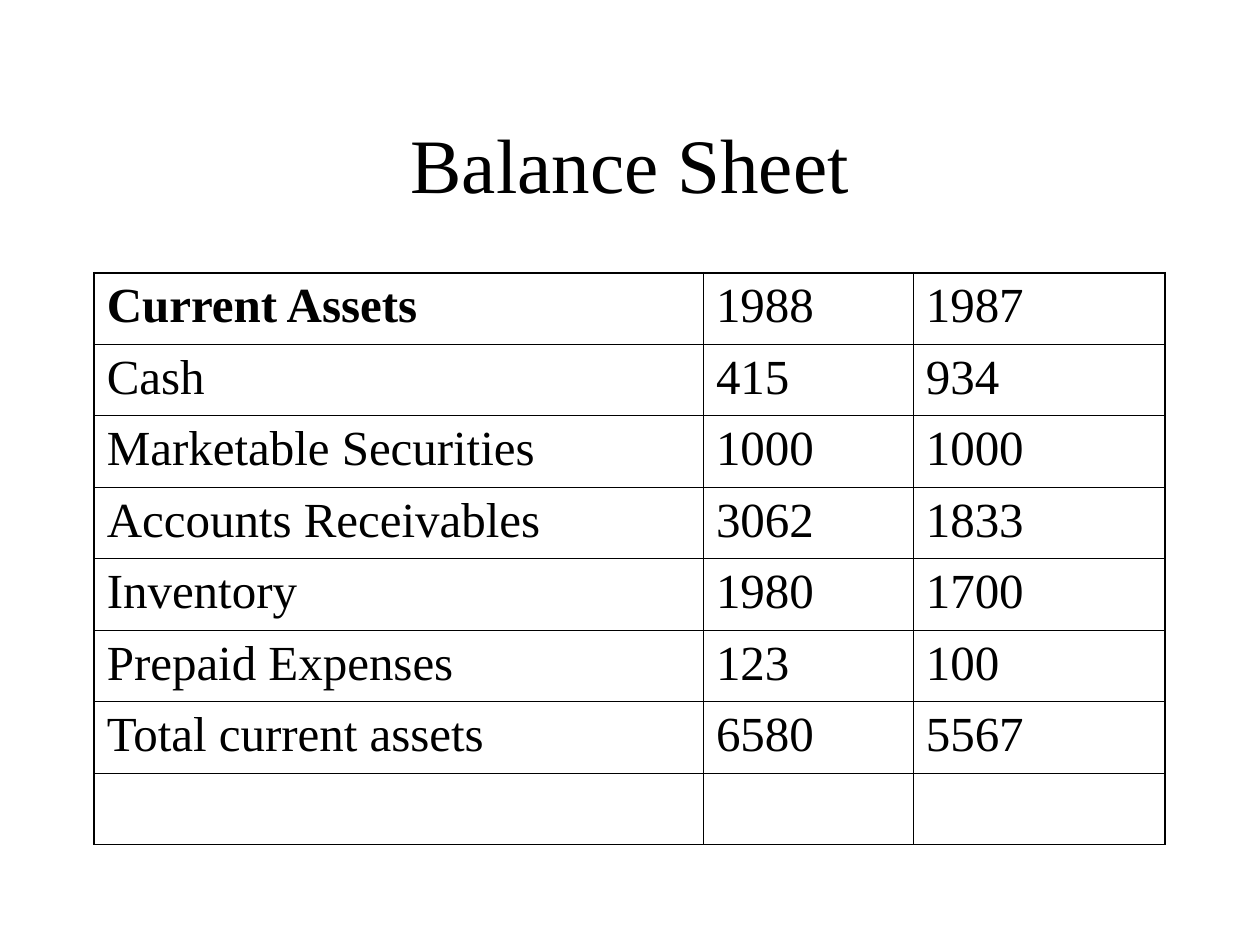
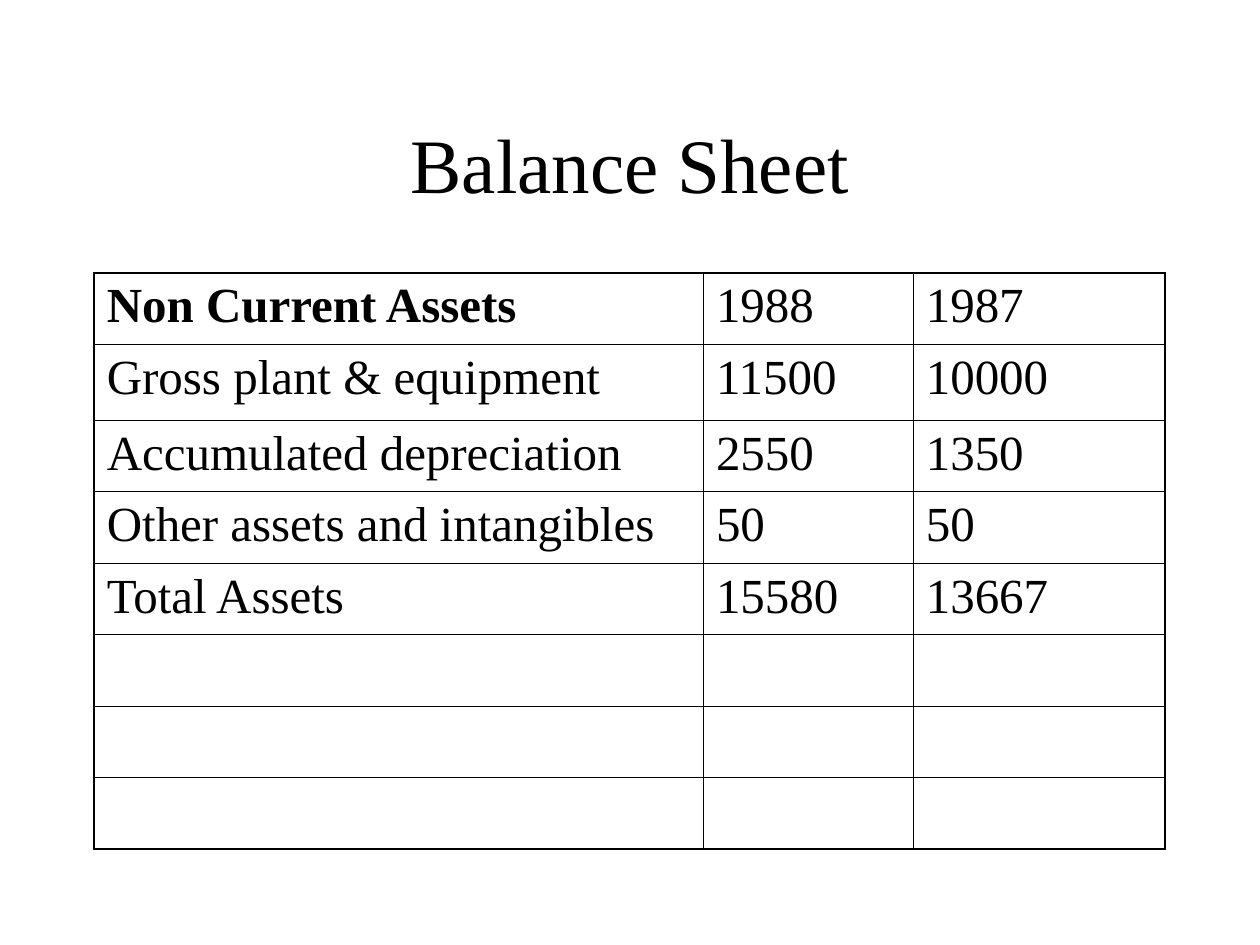
from dataclasses import dataclass
from typing import Any

import lxml.etree
import pptx
import pptx.dml.color
import pptx.enum.text
import pptx.oxml.ns
import pptx.presentation
import pptx.slide
import pptx.table
import pptx.util

Cm = pptx.util.Cm
Pt = pptx.util.Pt
qn = pptx.oxml.ns.qn


@dataclass(frozen=True)
class Theme:
    font: str = "Times New Roman"
    ink: str = "000000"
    paper: str = "FFFFFF"
    title_size: float = 44
    cell_size: float = 28
    cell_space: float = 7
    outer_line: float = 1.08
    inner_line: float = 0.45


@dataclass(frozen=True)
class Box:
    left: float
    top: float
    width: float
    height: float


@dataclass(frozen=True)
class BalanceTable:
    entries: list[tuple[str, str, str]]
    tall_rows: tuple[int, ...] = ()


THEME = Theme()
TITLE = "Balance Sheet"
TITLE_BOX = Box(1.9, 1.69, 21.6, 3.18)
TABLE_LEFT, TABLE_TOP = 1.9, 5.5
COLUMN_WIDTHS = (12.28, 4.23, 5.08)
ROW_COUNT, ROW_HEIGHT, TALL_HEIGHT = 8, 1.44, 1.53

TABLES = [
    BalanceTable([
        ("Current Assets", "1988", "1987"),
        ("Cash", "415", "934"),
        ("Marketable Securities", "1000", "1000"),
        ("Accounts Receivables", "3062", "1833"),
        ("Inventory", "1980", "1700"),
        ("Prepaid Expenses", "123", "100"),
        ("Total current assets", "6580", "5567"),
    ]),
    BalanceTable([
        ("Non Current Assets", "1988", "1987"),
        ("Gross plant & equipment", "11500", "10000"),
        ("Accumulated depreciation", "2550", "1350"),
        ("Other assets and intangibles", "50", "50"),
        ("Total Assets", "15580", "13667"),
    ], tall_rows=(1,)),
]


def apply_format(target: Any, values: dict[str, Any]) -> None:
    for name, value in values.items():
        setattr(target, name, value)


def write(p: Any, text: str, size: float, bold: bool = False) -> None:
    r = p.add_run()
    r.text = text
    apply_format(r.font, {"name": THEME.font, "size": Pt(size), "bold": bold})
    r.font.color.rgb = pptx.dml.color.RGBColor.from_string(THEME.ink)


def add_title(s: pptx.slide.Slide, text: str, box: Box) -> None:
    sp = s.shapes.add_textbox(Cm(box.left), Cm(box.top), Cm(box.width), Cm(box.height))
    tf = sp.text_frame
    apply_format(tf, {
        "word_wrap": True,
        "vertical_anchor": pptx.enum.text.MSO_ANCHOR.MIDDLE,
    })
    p = tf.paragraphs[0]
    p.alignment = pptx.enum.text.PP_ALIGN.CENTER
    write(p, text, THEME.title_size)


def set_borders(cell: Any, row: int, col: int) -> None:
    on_edge = {
        "a:lnL": col == 0,
        "a:lnR": col == len(COLUMN_WIDTHS) - 1,
        "a:lnT": row == 0,
        "a:lnB": row == ROW_COUNT - 1,
    }
    props = cell._tc.get_or_add_tcPr()
    for tag, outer in on_edge.items():
        width = Pt(THEME.outer_line if outer else THEME.inner_line)
        line = lxml.etree.SubElement(props, qn(tag), w=str(int(width)))
        fill = lxml.etree.SubElement(line, qn("a:solidFill"))
        lxml.etree.SubElement(fill, qn("a:srgbClr"), val=THEME.ink)


def add_balance_table(s: pptx.slide.Slide, data: BalanceTable) -> None:
    heights = [TALL_HEIGHT if i in data.tall_rows else ROW_HEIGHT for i in range(ROW_COUNT)]
    sp = s.shapes.add_table(
        ROW_COUNT, len(COLUMN_WIDTHS), Cm(TABLE_LEFT), Cm(TABLE_TOP),
        Cm(sum(COLUMN_WIDTHS)), Cm(sum(heights)),
    )
    table = sp.table
    apply_format(table, {"first_row": False, "horz_banding": False})
    for column, width in zip(table.columns, COLUMN_WIDTHS):
        column.width = Cm(width)
    for row, height in enumerate(heights):
        table.rows[row].height = Cm(height)
        for col in range(len(COLUMN_WIDTHS)):
            cell = table.cell(row, col)
            set_borders(cell, row, col)
            cell.fill.background()
            if row < len(data.entries):
                p = cell.text_frame.paragraphs[0]
                p.space_before = Pt(THEME.cell_space)
                write(p, data.entries[row][col], THEME.cell_size, bold=row == col == 0)


def add_balance_slide(prs: pptx.presentation.Presentation, data: BalanceTable) -> None:
    s = prs.slides.add_slide(prs.slide_layouts[6])
    s.background.fill.solid()
    s.background.fill.fore_color.rgb = pptx.dml.color.RGBColor.from_string(THEME.paper)
    add_title(s, TITLE, TITLE_BOX)
    add_balance_table(s, data)


def main() -> None:
    prs = pptx.Presentation()
    apply_format(prs, {"slide_width": Cm(25.4), "slide_height": Cm(19.05)})
    for data in TABLES:
        add_balance_slide(prs, data)
    prs.save("out.pptx")


if __name__ == "__main__":
    main()
